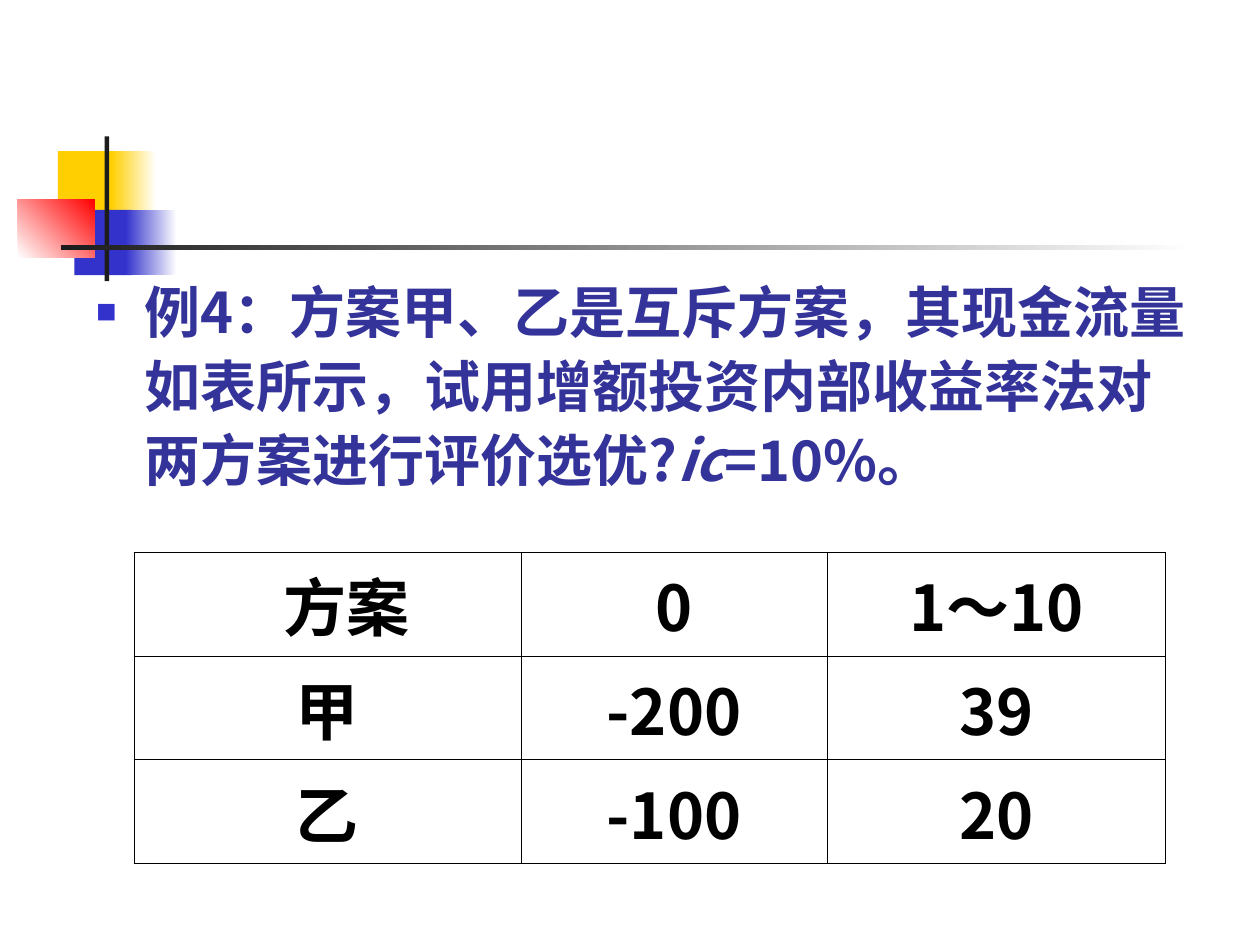
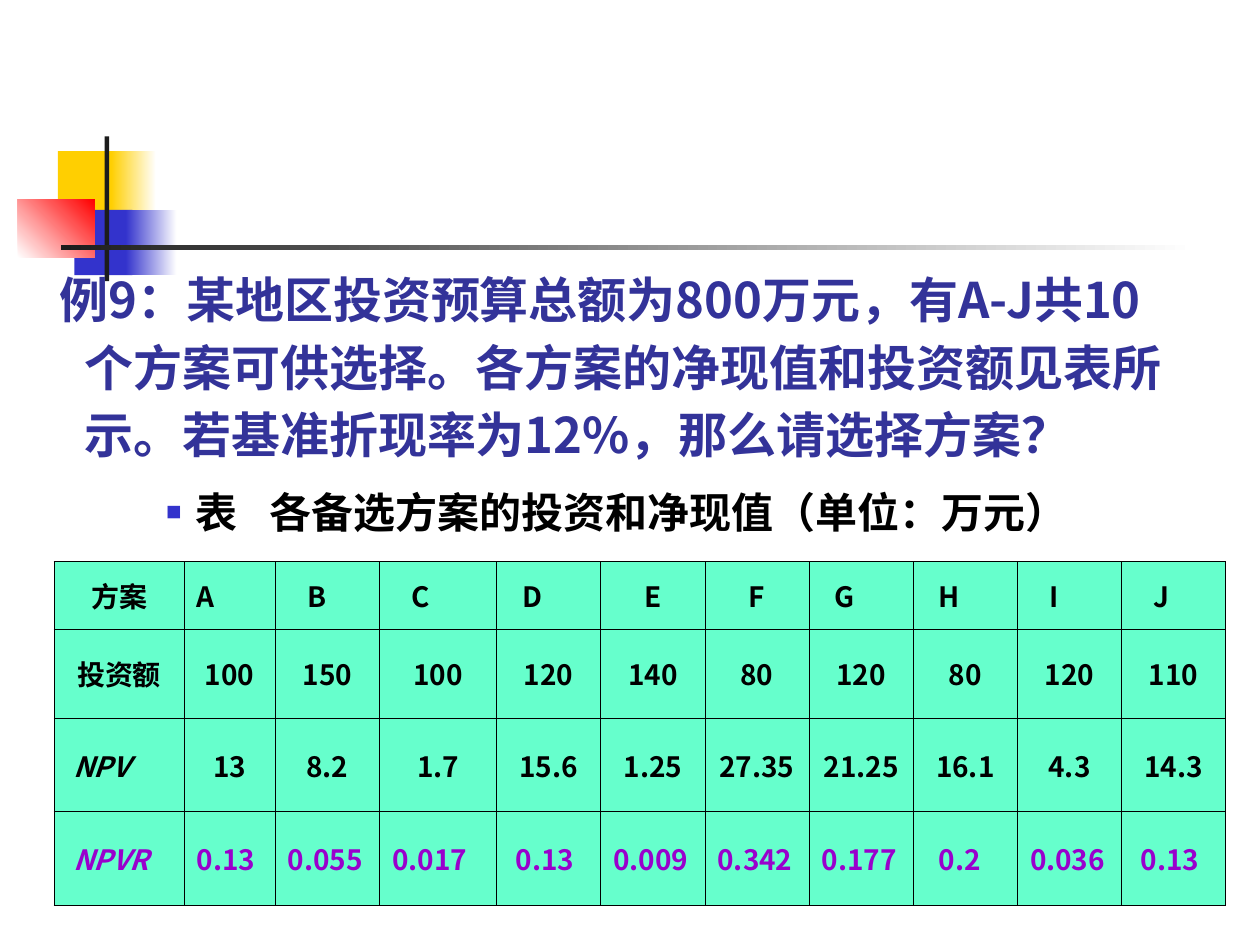
from lxml.etree import SubElement
from pptx import Presentation
from pptx.dml.color import RGBColor
from pptx.enum.shapes import MSO_SHAPE as Preset
from pptx.enum.text import MSO_ANCHOR as Anchor
from pptx.enum.text import MSO_AUTO_SIZE as AutoSize
from pptx.enum.text import PP_ALIGN as Align
from pptx.oxml.ns import qn
from pptx.util import Cm, Pt

FONT = "Noto Sans CJK SC"
COLORS = {
    "yellow": "FFCF01",
    "blue": "3333CC",
    "red": "FF0000",
    "dark": "1C1C1C",
    "white": "FFFFFF",
    "black": "000000",
    "text_blue": "333399",
    "mint": "66FFCC",
    "purple": "9900CC",
}
# Left, top, width, height in cm, then the colours of the fill and its angle
DECORATION = [
    (1.17, 3.05, 1.22, 1.32, ["yellow"], 0),
    (2.24, 3.05, 0.91, 1.32, ["yellow", "white"], 0),
    (1.5, 4.23, 1.17, 1.32, ["blue"], 0),
    (2.54, 4.23, 1.02, 1.32, ["blue", "white"], 0),
    (0.36, 4.02, 1.55, 1.17, ["white", "red"], 45),
    (2.11, 2.75, 0.09, 2.92, ["dark"], 0),
    (1.23, 4.94, 22.86, 0.1, ["dark", "white"], 0),
]
INDENT_STEP = 0.13

CASH_FLOWS = [
    ["方案", "0", "1～10"],
    ["甲", "-200", "39"],
    ["乙", "-100", "20"],
]
PROJECTS = [
    ["方案", *"ABCDEFGHIJ"],
    ["投资额", "100", "150", "100", "120", "140", "80", "120", "80", "120", "110"],
    ["NPV", "13", "8.2", "1.7", "15.6", "1.25", "27.35", "21.25", "16.1", "4.3", "14.3"],
    ["NPVR", "0.13", "0.055", "0.017", "0.13", "0.009", "0.342", "0.177", "0.2", "0.036", "0.13"],
]
# Indent steps of left-aligned cells; None means centred
PROJECT_STEPS = [
    [None, 0, 3, 3, 2, None, None, 2, 2, 3, 3],
    [None] * 11,
    [1] + [None] * 10,
    [1, 0, 0, 0, 1, 0, 0, 0, 2, 0, 1],
]


def rgb(name):
    return RGBColor.from_string(COLORS[name])


def set_attributes(target, values):
    for name, value in values.items():
        setattr(target, name, value)


def set_frame(shape, left, top, width, height):
    frame = {"left": left, "top": top, "width": width, "height": height}
    set_attributes(shape, {name: Cm(value) for name, value in frame.items()})


def set_indent(paragraph, margin, first_line=0):
    properties = paragraph._p.get_or_add_pPr()
    properties.set("marL", str(Cm(margin)))
    properties.set("indent", str(Cm(first_line)))


def set_bullet(paragraph, visible):
    properties = paragraph._p.get_or_add_pPr()
    if not visible:
        SubElement(properties, qn("a:buNone"))
        return
    color = SubElement(properties, qn("a:buClr"))
    SubElement(color, qn("a:srgbClr"), val=COLORS["blue"])
    SubElement(properties, qn("a:buSzPct"), val="37000")
    SubElement(properties, qn("a:buFont"), typeface=FONT)
    SubElement(properties, qn("a:buChar"), char="■")


def add_run(paragraph, text, size, color, italic=False):
    run = paragraph.add_run()
    run.text = text
    set_attributes(run.font, {"name": FONT, "size": Pt(size), "bold": True, "italic": italic})
    run.font.color.rgb = rgb(color)
    SubElement(run.font._element, qn("a:ea"), typeface=FONT)


def add_decoration(slide):
    """Draw the corner blocks and rules once, on the layout of the slide."""
    layout_tree = slide.slide_layout.shapes.element
    for number, (left, top, width, height, colors, angle) in enumerate(DECORATION):
        shape = slide.shapes.add_shape(
            Preset.RECTANGLE, Cm(left), Cm(top), Cm(width), Cm(height))
        shape.shadow.inherit = False
        shape.line.fill.background()
        if len(colors) == 1:
            shape.fill.solid()
            shape.fill.fore_color.rgb = rgb(colors[0])
        else:
            shape.fill.gradient()
            shape.fill.gradient_angle = angle
            for stop, color in zip(shape.fill.gradient_stops, colors):
                stop.color.rgb = rgb(color)
        shape.element.nvSpPr.cNvPr.set("id", str(100 + number))
        layout_tree.append(shape.element)


def fill_text(shape, runs, size, color, spacing, indent, bullet):
    """Write one paragraph; each run is a text and its own format changes."""
    frame = shape.text_frame
    set_attributes(frame, {"word_wrap": True, "auto_size": AutoSize.NONE,
                           "vertical_anchor": Anchor.TOP})
    paragraph = frame.paragraphs[0]
    set_indent(paragraph, *indent)
    paragraph._p.get_or_add_pPr().set("hangingPunct", "0")
    set_bullet(paragraph, bullet)
    set_attributes(paragraph, {"line_spacing": spacing, "space_before": Pt(0),
                               "alignment": Align.LEFT})
    for text, changes in runs:
        add_run(paragraph, text, **{"size": size, "color": color, **changes})


def add_slide(presentation):
    """Add a slide that keeps only the body placeholder of its layout."""
    slide = presentation.slides.add_slide(presentation.slide_layouts[1])
    title = slide.shapes.title.element
    title.getparent().remove(title)
    return slide, slide.placeholders[1]


def set_borders(cell):
    properties = cell._tc.get_or_add_tcPr()
    for side in ("lnL", "lnR", "lnT", "lnB"):
        line = SubElement(properties, qn(f"a:{side}"), w=str(Pt(0.45)))
        fill = SubElement(line, qn("a:solidFill"))
        SubElement(fill, qn("a:srgbClr"), val=COLORS["black"])


def add_grid(slide, left, top, widths, heights):
    """Add a bordered table without a banded style."""
    table = slide.shapes.add_table(
        len(heights), len(widths), Cm(left), Cm(top),
        Cm(sum(widths)), Cm(sum(heights))).table
    set_attributes(table, {"first_row": False, "horz_banding": False})
    for column, width in zip(table.columns, widths):
        column.width = Cm(width)
    for row, height in zip(table.rows, heights):
        row.height = Cm(height)
    return table


def fill_cell(cell, text, size, color="black", italic=False, fill=None, steps=None):
    set_borders(cell)
    if fill:
        cell.fill.solid()
        cell.fill.fore_color.rgb = rgb(fill)
    else:
        cell.fill.background()
    cell.vertical_anchor = Anchor.MIDDLE
    paragraph = cell.text_frame.paragraphs[0]
    paragraph.alignment = Align.CENTER if steps is None else Align.LEFT
    if steps:
        set_indent(paragraph, steps * INDENT_STEP)
    add_run(paragraph, text, size, color, italic)


def build_exclusive_plans(presentation):
    slide, body = add_slide(presentation)
    add_decoration(slide)
    set_frame(body, 1.7, 5.33, 22.81, 5.21)
    fill_text(body, [
        ("例4：方案甲、乙是互斥方案，其现金流量如表所示，试用增额投资内部收益率法对两方案进行评价选优?", {}),
        ("ic", {"italic": True}),
        ("=10%。", {}),
    ], 32, "text_blue", 1.1, (0.95, -0.95), True)

    # Cash flow table
    table = add_grid(slide, 2.7, 11.13, [7.8, 6.18, 6.82], [1.78] * 3)
    for row, values in enumerate(CASH_FLOWS):
        for column, value in enumerate(values):
            fill_cell(table.cell(row, column), value, 36)
    set_indent(table.cell(0, 0).text_frame.paragraphs[0], 0.76)


def build_budget_choice(presentation):
    slide, body = add_slide(presentation)
    set_frame(body, 0.5, 5.13, 23.39, 4.39)
    question = "例9：某地区投资预算总额为800万元，有A-J共10个方案可供选择。各方案的净现值和投资额见表所示。若基准折现率为12%，那么请选择方案？"
    fill_text(body, [(question, {})], 28, "text_blue", 1.15, (0.95, -0.5), False)

    # Table of projects
    widths = [2.62, 1.84, 2.1, 2.36] + [2.1] * 7
    table = add_grid(slide, 1.09, 11.32, widths, [1.36, 1.8, 1.88, 1.89])
    for row, (values, steps) in enumerate(zip(PROJECTS, PROJECT_STEPS)):
        color = "purple" if values[0] == "NPVR" else "black"
        for column, value in enumerate(values):
            italic = value.startswith("NPV")
            fill_cell(table.cell(row, column), value, 16, color, italic, "mint", steps[column])

    # Table caption, with a narrowed wide space after its first word
    caption = slide.shapes.add_textbox(Cm(3.1), Cm(9.53), Cm(19.61), Cm(1.42))
    fill_text(caption, [
        ("表", {}),
        ("　", {"size": 18}),
        ("各备选方案的投资和净现值（单位：万元）", {}),
    ], 24, "black", 1.15, (0.6, -0.6), True)


def main():
    presentation = Presentation()
    set_attributes(presentation, {"slide_width": Cm(25.4), "slide_height": Cm(19.05)})
    build_exclusive_plans(presentation)
    build_budget_choice(presentation)
    presentation.save("out.pptx")


if __name__ == "__main__":
    main()
